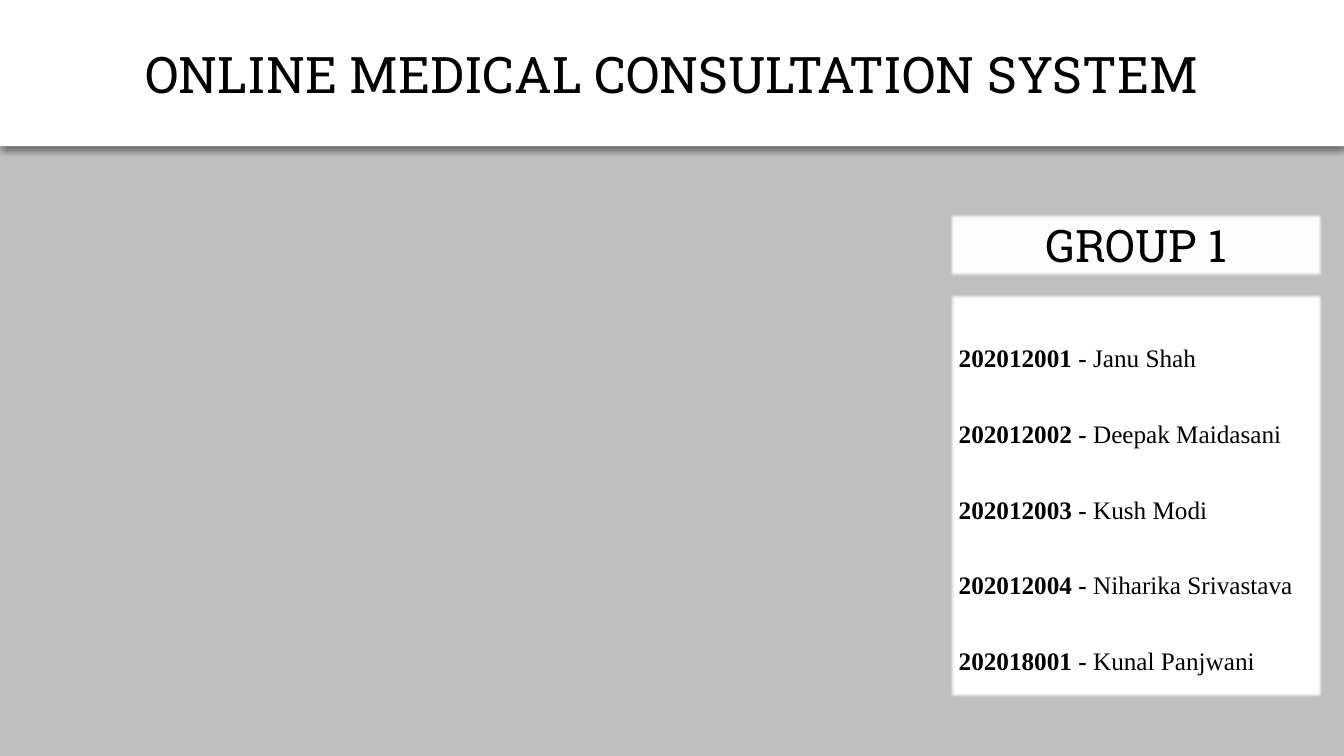
import dataclasses

import pptx
import pptx.dml.color
import pptx.enum.shapes
import pptx.enum.text
import pptx.oxml
import pptx.oxml.ns
import pptx.util

Inches = pptx.util.Inches
Pt = pptx.util.Pt
RGB = pptx.dml.color.RGBColor
Align = pptx.enum.text.PP_ALIGN
Anchor = pptx.enum.text.MSO_ANCHOR


@dataclasses.dataclass
class Theme:
    ink: RGB = RGB(0, 0, 0)
    paper: RGB = RGB(255, 255, 255)
    shade: RGB = RGB(0xBF, 0xBF, 0xBF)
    slab: str = "Roboto Slab"
    serif: str = "Times New Roman"
    title: int = 36
    group: int = 32
    body: int = 18


theme = Theme()


def add_box(left, top, width, height, color):
    box = slide.shapes.add_shape(
        pptx.enum.shapes.MSO_SHAPE.RECTANGLE,
        Inches(left), Inches(top), Inches(width), Inches(height))
    box.shadow.inherit = False
    box.fill.solid()
    box.fill.fore_color.rgb = color
    box.line.fill.background()
    box.text_frame.word_wrap = True
    return box


def add_run(para, text, font, size, bold=False):
    run = para.add_run()
    run.text = text
    run.font.name = font
    run.font.size = Pt(size)
    run.font.bold = bold
    run.font.color.rgb = theme.ink


deck = pptx.Presentation()
deck.slide_width = Inches(13.33)
deck.slide_height = Inches(7.5)
slide = deck.slides.add_slide(deck.slide_layouts[5])

# Grey backdrop below the title band
band = 1.45
back = add_box(0, band, 13.33, 7.5 - band, theme.shade)

# Title band, in front of the backdrop so its shadow shows
title = slide.shapes.title
title.element.addprevious(back.element)
title.left, title.top = Inches(0), Inches(0)
title.width, title.height = Inches(13.33), Inches(band)
title.fill.solid()
title.fill.fore_color.rgb = theme.paper
frame = title.text_frame
frame.auto_size = pptx.enum.text.MSO_AUTO_SIZE.NONE
frame.vertical_anchor = Anchor.MIDDLE
para = frame.paragraphs[0]
para.alignment = Align.CENTER
add_run(para, "ONLINE MEDICAL CONSULTATION SYSTEM", theme.slab, theme.title)
title.element.spPr.append(pptx.oxml.parse_xml(
    f'<a:effectLst {pptx.oxml.ns.nsdecls("a")}>'
    f'<a:outerShdw blurRad="{Pt(4)}" dist="{Pt(3)}" dir="5400000" rotWithShape="0">'
    '<a:srgbClr val="000000"><a:alpha val="40000"/></a:srgbClr>'
    '</a:outerShdw></a:effectLst>'))

# Group heading and member list share one column
left, width = 9.41, 3.72
group = add_box(left, 2.11, width, 0.64, theme.paper)
group.text_frame.vertical_anchor = Anchor.MIDDLE
para = group.text_frame.paragraphs[0]
para.alignment = Align.CENTER
add_run(para, "GROUP 1", theme.slab, theme.group)

team = [
    ("202012001", "Janu Shah"),
    ("202012002", "Deepak Maidasani"),
    ("202012003", "Kush Modi"),
    ("202012004", "Niharika Srivastava"),
    ("202018001", "Kunal Panjwani"),
]
roster = add_box(left, 2.9, width, 4.03, theme.paper)
frame = roster.text_frame
frame.vertical_anchor = Anchor.TOP
for row, (code, name) in enumerate(team):
    para = frame.add_paragraph() if row else frame.paragraphs[0]
    para.alignment = Align.LEFT
    para.line_spacing = Pt(54)
    add_run(para, f"{code} -", theme.serif, theme.body, True)
    add_run(para, f" {name}", theme.serif, theme.body)

# Slightly soft edges on both boxes
for box in (group, roster):
    effects = box.element.spPr.find(pptx.oxml.ns.qn("a:effectLst"))
    effects.append(pptx.oxml.parse_xml(
        f'<a:softEdge {pptx.oxml.ns.nsdecls("a")} rad="{Pt(2.5)}"/>'))

deck.save("out.pptx")
